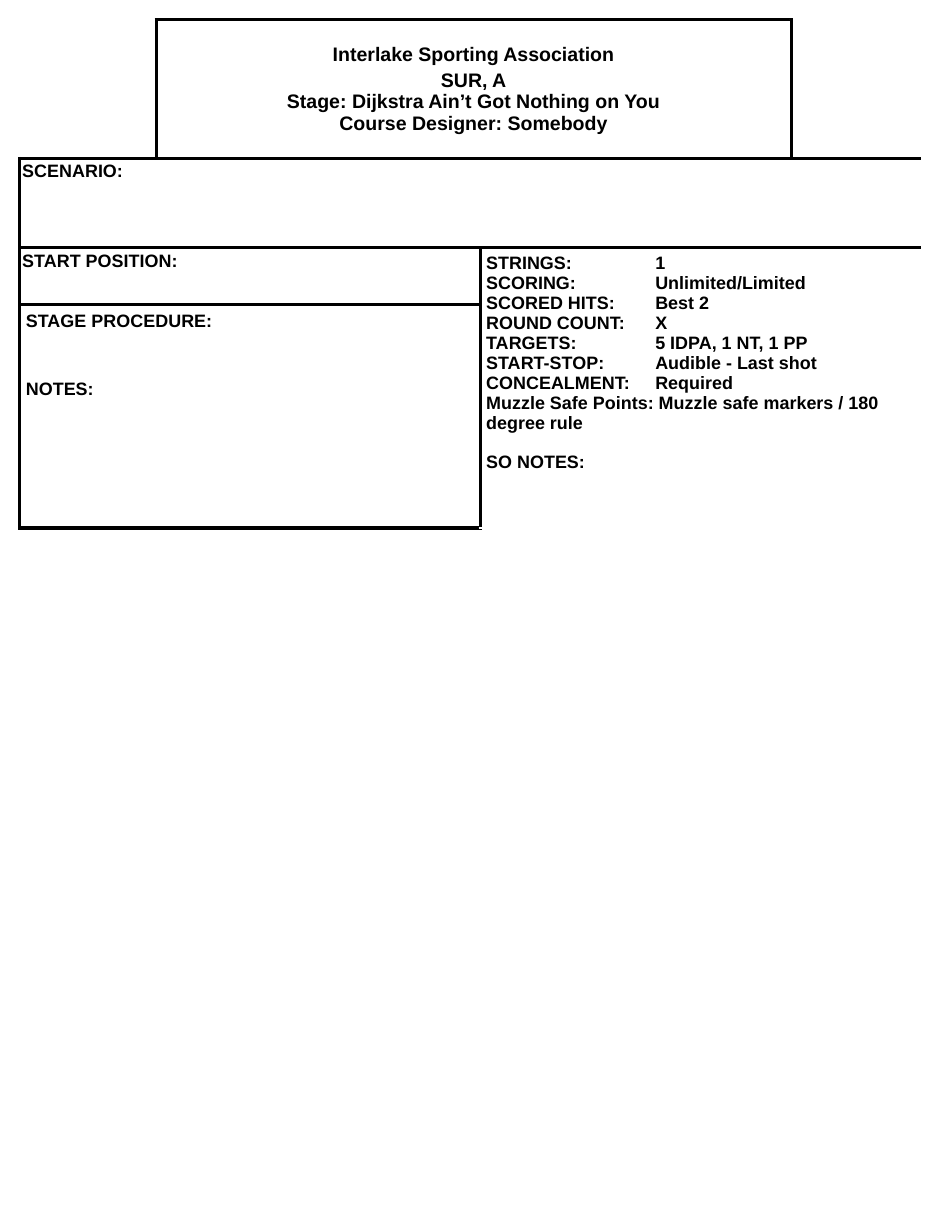
from lxml import etree
from pptx import Presentation
from pptx import util as u
from pptx.dml.color import RGBColor
from pptx.enum import text
from pptx.oxml import ns

BLACK = RGBColor(0x00, 0x00, 0x00)
WHITE = RGBColor(0xFF, 0xFF, 0xFF)


class StageSheet:
    """Style of the sheet, its slide and the form drawn on it."""
    font = "Arial"
    rule = u.Pt(2.25)
    value_tab = u.Cm(3.66)

    def __init__(self, slide):
        self.slide = slide

    def form(self, left, top, columns, rows):
        frame = self.slide.shapes.add_table(
            len(rows), len(columns), u.Cm(left), u.Cm(top),
            u.Cm(sum(columns)), u.Cm(sum(rows)))
        self.table = frame.table
        self.table.first_row = self.table.horz_banding = False
        for column, width in zip(self.table.columns, columns):
            column.width = u.Cm(width)
        for row, height in zip(self.table.rows, rows):
            row.height = u.Cm(height)

    def border(self, cell, side):
        line = etree.SubElement(cell._tc.get_or_add_tcPr(),
                                ns.qn(f"a:ln{side}"), w=str(self.rule))
        fill = etree.SubElement(line, ns.qn("a:solidFill"))
        etree.SubElement(fill, ns.qn("a:srgbClr"), val=str(BLACK))

    def panel(self, row, col, height=1, width=1, sides="LRTB"):
        """Merge a block of cells and rule its outer edges."""
        last_row, last_col = row + height - 1, col + width - 1
        for r in range(row, last_row + 1):
            for c in range(col, last_col + 1):
                cell = self.table.cell(r, c)
                edges = {"L": c == col, "R": c == last_col,
                         "T": r == row, "B": r == last_row}
                for side, outer in edges.items():
                    if outer and side in sides:
                        self.border(cell, side)
                cell.fill.solid()
                cell.fill.fore_color.rgb = WHITE
        origin = self.table.cell(row, col)
        if height * width > 1:
            origin.merge(self.table.cell(last_row, last_col))
        return origin

    def label(self, cell, lines, size=11, inset=(0.13, 0.13), spacing=None,
              align=text.PP_ALIGN.LEFT, anchor=text.MSO_ANCHOR.TOP):
        """Fill a cell with (wording, space before in points) lines."""
        cell.margin_left = cell.margin_right = u.Cm(inset[0])
        cell.margin_top = cell.margin_bottom = u.Cm(inset[1])
        cell.vertical_anchor = anchor
        frame = cell.text_frame
        for index, (wording, gap) in enumerate(lines):
            paragraph = frame.add_paragraph() if index else frame.paragraphs[0]
            paragraph.text = wording
            paragraph.alignment = align
            if spacing:
                paragraph.line_spacing = spacing
            if gap:
                paragraph.space_before = u.Pt(gap)
            if "\t" in wording:
                tabs = etree.SubElement(paragraph._p.get_or_add_pPr(),
                                        ns.qn("a:tabLst"))
                etree.SubElement(tabs, ns.qn("a:tab"),
                                 pos=str(self.value_tab), algn="l")
            font = paragraph.font
            font.name, font.size, font.bold = self.font, u.Pt(size), True
            font.color.rgb = BLACK


def main():
    deck = Presentation()
    deck.slide_width, deck.slide_height = u.Cm(20.32), u.Cm(26.67)
    sheet = StageSheet(deck.slides.add_slide(deck.slide_layouts[6]))
    sheet.form(0.43, 0.43, columns=(2.95, 7.01, 6.73, 2.79),
               rows=(3.0, 1.93, 1.24, 4.83))

    # Heading, with an open corner on either side
    sheet.panel(0, 0, sides="RB")
    heading = sheet.panel(0, 1, width=2)
    sheet.panel(0, 3, sides="LB")
    sheet.label(heading, [
        ("Interlake Sporting Association", 0),
        ("SUR, A\vStage: Dijkstra Ain’t Got Nothing on You\v"
         "Course Designer: Somebody", 2.4),
    ], size=12, align=text.PP_ALIGN.CENTER, anchor=text.MSO_ANCHOR.MIDDLE)

    # Scenario and start position
    sheet.label(sheet.panel(1, 0, width=4), [("SCENARIO:", 0)],
                inset=(0.05, 0.1), spacing=0.9)
    sheet.label(sheet.panel(2, 0, width=2), [("START POSITION:", 0)],
                inset=(0.05, 0.08))

    # Stage rules
    rules = {
        "STRINGS": "1",
        "SCORING": "Unlimited/Limited",
        "SCORED HITS": "Best 2",
        "ROUND COUNT": "X",
        "TARGETS": "5 IDPA, 1 NT, 1 PP",
        "START-STOP": "Audible - Last shot",
        "CONCEALMENT": "Required",
    }
    lines = [(f"{name}:\t{value}", 0) for name, value in rules.items()]
    lines += [("Muzzle Safe Points: Muzzle safe markers / 180 degree rule", 0),
              ("SO NOTES:", 12)]
    sheet.label(sheet.panel(2, 2, height=2, width=2), lines)

    # Procedure and notes
    sheet.label(sheet.panel(3, 0, width=2),
                [("STAGE PROCEDURE:", 0), ("NOTES:", 30)])

    deck.save("out.pptx")


if __name__ == "__main__":
    main()
